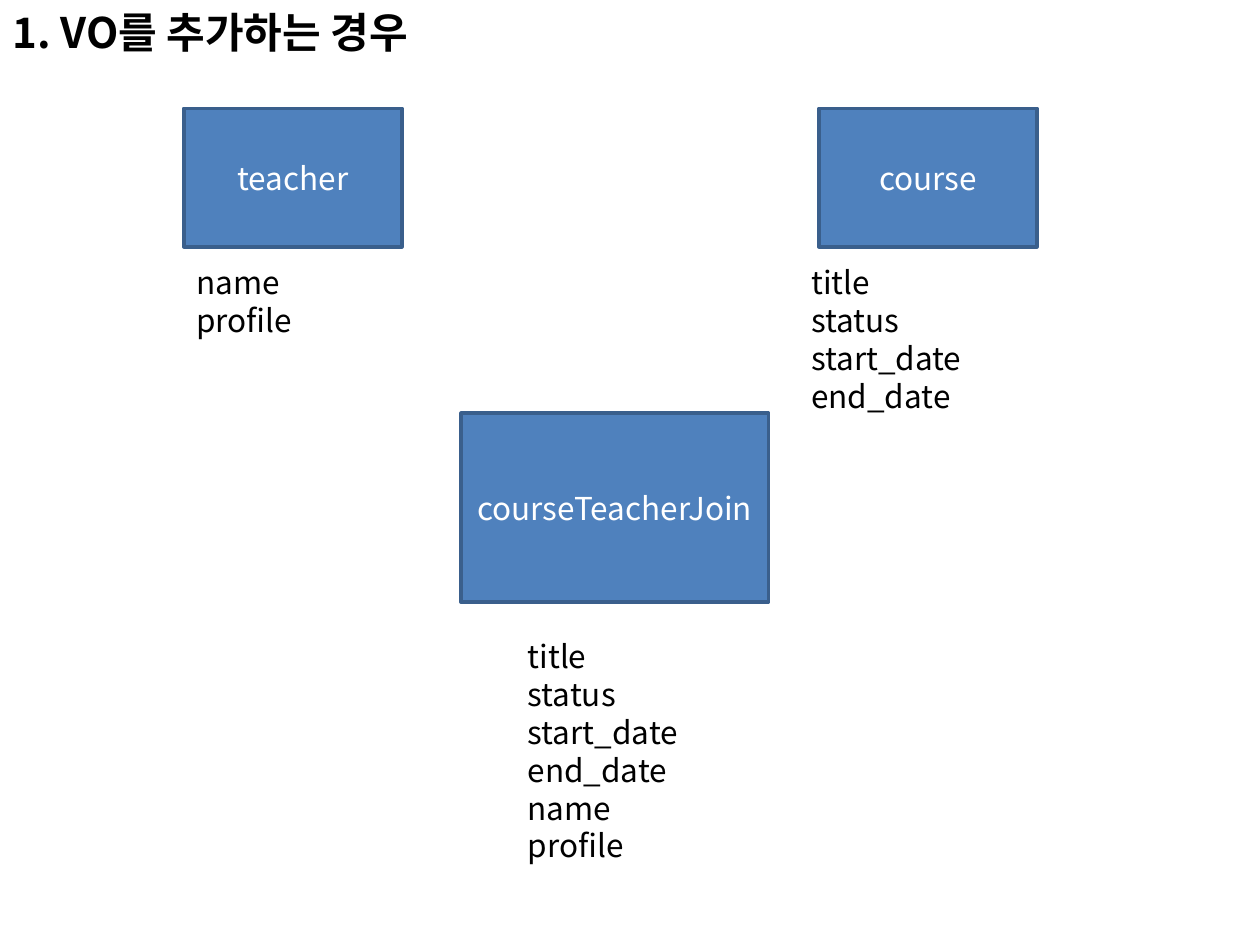
from dataclasses import dataclass

from lxml import etree
from pptx import Presentation
from pptx import util as u
from pptx.dml.color import RGBColor
from pptx.enum import shapes, text
from pptx.oxml.ns import qn

COLUMNS, ROWS = 100, 75
WIDTH, HEIGHT = u.Inches(10), u.Inches(7.5)
FONT = "Noto Sans CJK KR"
COLORS = {"fill": "4F81BD", "border": "3A5F8C", "label": "FFFFFF", "ink": "000000"}
TITLE_LAYOUT = 5


@dataclass(frozen=True)
class Area:
    """Left, top, width and height in grid columns and rows."""
    column: float
    row: float
    columns: float
    rows: float

    def emu(self) -> tuple:
        across, down = WIDTH / COLUMNS, HEIGHT / ROWS
        return (round(self.column * across), round(self.row * down),
                round(self.columns * across), round(self.rows * down))


@dataclass(frozen=True)
class Entity:
    name: str
    box: Area
    fields: list
    field_area: Area


TEACHER_FIELDS = ["name", "profile"]
COURSE_FIELDS = ["title", "status", "start_date", "end_date"]

ENTITIES = [
    Entity("teacher", Area(14.6, 8.6, 17.3, 11),
           TEACHER_FIELDS, Area(14.6, 20.4, 22.8, 7.1)),
    Entity("course", Area(65, 8.6, 17.3, 11),
           COURSE_FIELDS, Area(63.4, 20.4, 15.7, 13.1)),
    Entity("courseTeacherJoin", Area(36.6, 32.8, 24.4, 15),
           COURSE_FIELDS + TEACHER_FIELDS, Area(40.9, 50.1, 15.7, 19.2)),
]


def color(name: str) -> RGBColor:
    return RGBColor.from_string(COLORS[name])


def format_text(frame, size: float, ink: str, align, bold: bool = False) -> None:
    for para in frame.paragraphs:
        para.alignment = align
        for span in para.runs:
            font = span.font
            font.size, font.bold, font.name = u.Pt(size), bold, FONT
            font.color.rgb = color(ink)
            # Hangul takes its typeface from the East Asian font.
            east_asian = etree.SubElement(span._r.get_or_add_rPr(), qn("a:ea"))
            east_asian.set("typeface", FONT)


def draw_title(page, wording: str, area: Area) -> None:
    title = page.shapes.title
    title.left, title.top, title.width, title.height = area.emu()
    frame = title.text_frame
    frame.text = wording
    frame.word_wrap = False
    frame.auto_size = text.MSO_AUTO_SIZE.SHAPE_TO_FIT_TEXT
    frame.vertical_anchor = text.MSO_ANCHOR.TOP
    format_text(frame, 24, "ink", text.PP_ALIGN.LEFT, bold=True)


def draw_entity(page, entity: Entity) -> None:
    """Draw the named rectangle and the list of its fields."""
    box = page.shapes.add_shape(shapes.MSO_SHAPE.RECTANGLE, *entity.box.emu())
    box.shadow.inherit = False
    box.fill.solid()
    box.fill.fore_color.rgb = color("fill")
    box.line.color.rgb = color("border")
    box.line.width = u.Pt(2)
    box.text_frame.text = entity.name
    box.text_frame.vertical_anchor = text.MSO_ANCHOR.MIDDLE
    format_text(box.text_frame, 18, "label", text.PP_ALIGN.CENTER)

    frame = page.shapes.add_textbox(*entity.field_area.emu()).text_frame
    frame.text = "\n".join(entity.fields)
    frame.word_wrap = True
    frame.auto_size = text.MSO_AUTO_SIZE.SHAPE_TO_FIT_TEXT
    format_text(frame, 18, "ink", text.PP_ALIGN.LEFT)


def main() -> None:
    deck = Presentation()
    deck.slide_width, deck.slide_height = WIDTH, HEIGHT
    page = deck.slides.add_slide(deck.slide_layouts[TITLE_LAYOUT])
    draw_title(page, "1. VO를 추가하는 경우", Area(0, 0, 39.8, 5))
    for entity in ENTITIES:
        draw_entity(page, entity)
    deck.save("out.pptx")


if __name__ == "__main__":
    main()
